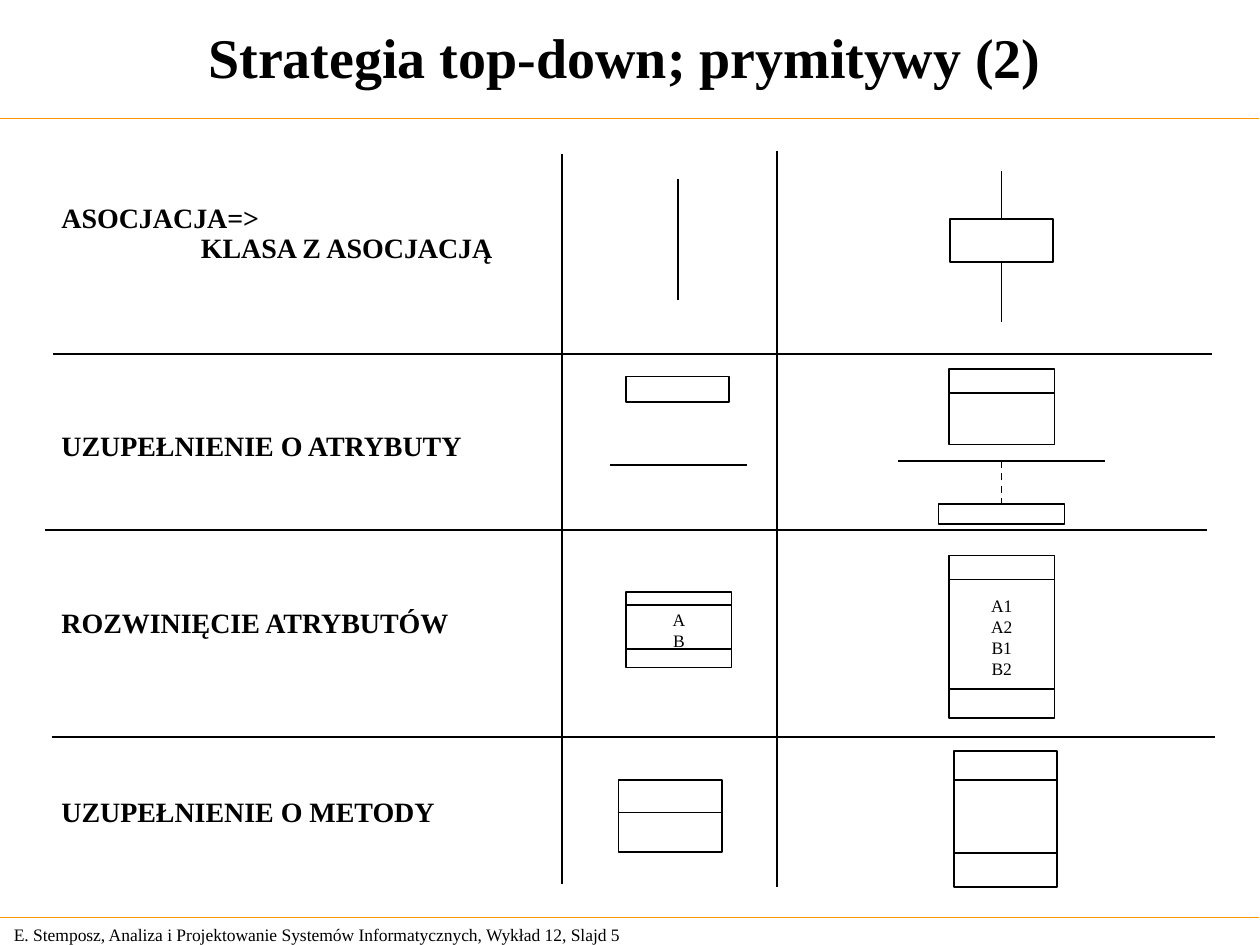
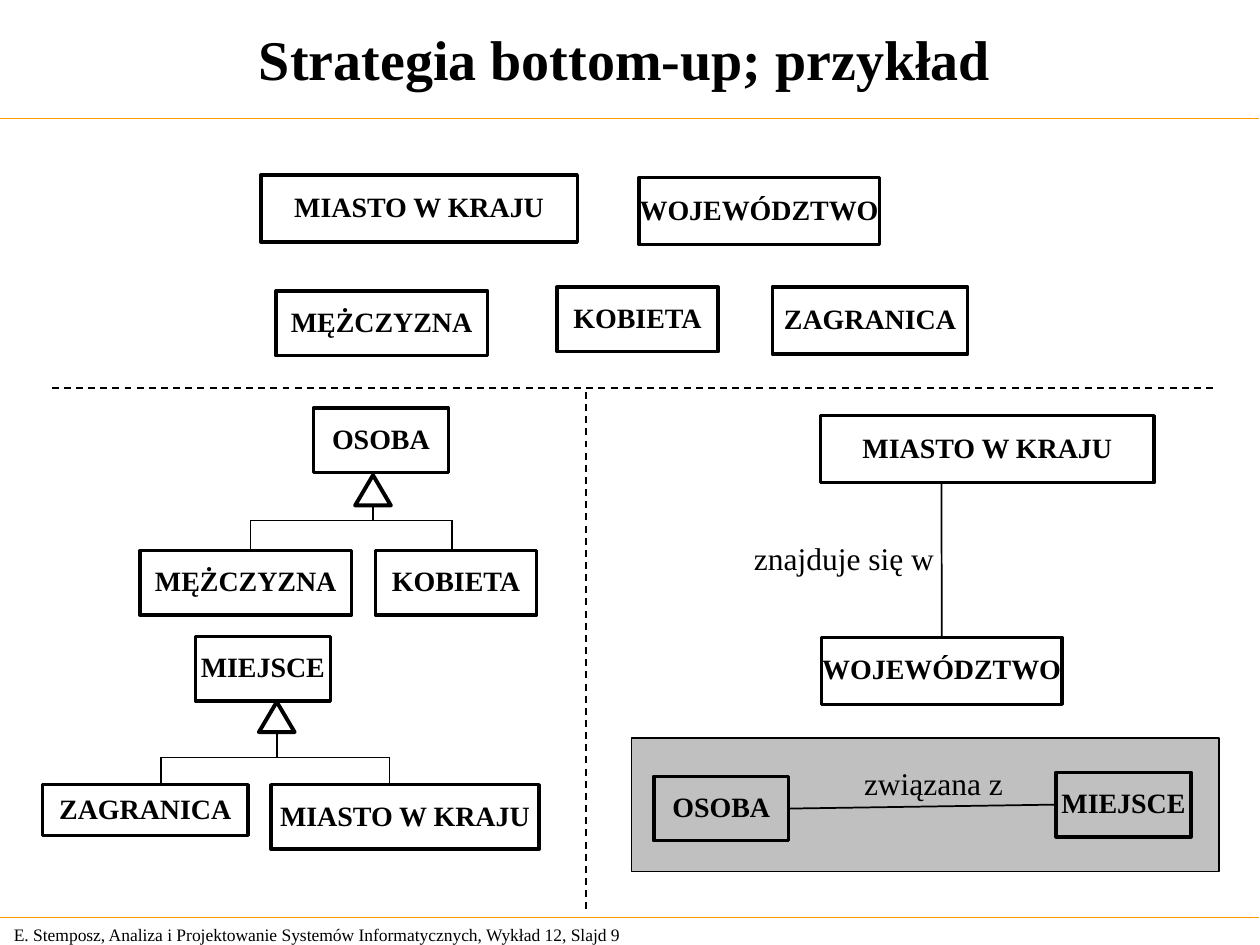
from lxml.etree import SubElement
from pptx import Presentation
from pptx.dml.color import RGBColor
from pptx.enum.dml import MSO_LINE
from pptx.enum.shapes import MSO_CONNECTOR, MSO_SHAPE
from pptx.enum.text import MSO_ANCHOR, PP_ALIGN
from pptx.oxml.ns import qn
from pptx.util import Cm, Pt

FONT = "Times New Roman"
BLACK, WHITE, ORANGE, GREY = "000000", "FFFFFF", "FF9900", "C0C0C0"
ENTITY = dict(line=BLACK, line_width=2, size=16, bold=True, spacing=0.9)
RELATION = dict(size=18, spacing=0.9)


def add_block(slide, text, left, top, width, height, kind=MSO_SHAPE.RECTANGLE, fill=None, line=None,
              line_width=1, size=10, bold=False, align=PP_ALIGN.CENTER, spacing=1.0):
    shape = slide.shapes.add_shape(kind, Cm(left), Cm(top), Cm(width), Cm(height))
    shape.shadow.inherit = False
    if fill:
        shape.fill.solid()
        shape.fill.fore_color.rgb = RGBColor.from_string(fill)
    else:
        shape.fill.background()
    if line:
        shape.line.color.rgb = RGBColor.from_string(line)
        shape.line.width = Pt(line_width)
    else:
        shape.line.fill.background()
    frame = shape.text_frame
    frame.text = text
    frame.word_wrap = align == PP_ALIGN.LEFT
    frame.vertical_anchor = MSO_ANCHOR.MIDDLE
    for paragraph in frame.paragraphs:
        paragraph.alignment = align
        paragraph.line_spacing = spacing
        paragraph.font.name = FONT
        paragraph.font.size = Pt(size)
        paragraph.font.bold = bold
        paragraph.font.color.rgb = RGBColor.from_string(BLACK)
    return shape


def add_line(slide, start_x, start_y, end_x, end_y, color=BLACK, width=1, dashed=False):
    connector = slide.shapes.add_connector(
        MSO_CONNECTOR.STRAIGHT, Cm(start_x), Cm(start_y), Cm(end_x), Cm(end_y))
    connector.line.color.rgb = RGBColor.from_string(color)
    connector.line.width = Pt(width)
    if dashed:
        connector.line.dash_style = MSO_LINE.DASH
    SubElement(connector._element.spPr, qn("a:effectLst"))
    return connector


presentation = Presentation()
presentation.slide_width = Cm(25.4)
presentation.slide_height = Cm(19.05)

slides = []
for title, title_top, number in [
    ("Strategia top-down; prymitywy (2)", 0.05, 5),
    ("Strategia bottom-up; przykład", 0.1, 9),
]:
    slide = presentation.slides.add_slide(presentation.slide_layouts[6])
    footer = f"E. Stemposz, Analiza i Projektowanie Systemów Informatycznych, Wykład 12, Slajd {number}"
    add_block(slide, footer, 0.03, 18.49, 13.31, 0.69, align=PP_ALIGN.LEFT)
    for rule_y in (2.39, 18.49):
        add_line(slide, 0, rule_y, 25.38, rule_y, color=ORANGE, width=0.75)
    add_block(slide, title, 0, title_top, 25.2, 2.16, size=32, bold=True)
    slides.append(slide)

primitives, example = slides

for column_x, top, bottom in [(11.33, 3.1, 17.83), (15.67, 3.05, 17.88)]:
    add_line(primitives, column_x, top, column_x, bottom)
for row_y, left, right in [(7.14, 1.07, 24.43), (10.69, 0.91, 24.33), (14.86, 1.04, 24.49)]:
    add_line(primitives, left, row_y, right, row_y)

for label, top, height in [
    ("ASOCJACJA=>\nKLASA Z ASOCJACJĄ", 4.29, 0.89),
    ("UZUPEŁNIENIE O ATRYBUTY", 8.66, 0.71),
    ("ROZWINIĘCIE ATRYBUTÓW", 12.22, 0.74),
    ("UZUPEŁNIENIE O METODY", 16.03, 0.74),
]:
    label_box = add_block(primitives, label, 0.99, top, 9.58, height,
                          size=16, bold=True, align=PP_ALIGN.LEFT, spacing=0.9)
    for paragraph in label_box.text_frame.paragraphs[1:]:
        paragraph._p.get_or_add_pPr().set("marL", str(Cm(2.81)))

for association in [
    (13.67, 3.61, 13.67, 6.05),
    (20.19, 3.45, 20.19, 6.5),
    (12.29, 9.37, 15.06, 9.37),
    (18.11, 9.3, 22.28, 9.3),
]:
    add_line(primitives, *association)

for text, left, top, width, height, dividers in [
    ("", 19.15, 4.42, 2.08, 0.86, []),
    ("", 12.62, 7.59, 2.08, 0.51, []),
    ("", 19.13, 7.44, 2.13, 1.52, [7.92]),
    ("A\nB", 12.62, 11.94, 2.13, 1.52, [12.19, 13.08]),
    ("A1\nA2\nB1\nB2", 19.13, 11.2, 2.13, 3.28, [11.68, 13.89]),
    ("", 12.47, 15.72, 2.08, 1.45, [16.38]),
    ("", 19.23, 15.14, 2.08, 2.74, [15.72, 17.2]),
]:
    add_block(primitives, text, left, top, width, height, fill=WHITE, line=BLACK)
    for divider_y in dividers:
        add_line(primitives, left, divider_y, left + width, divider_y)

association_class = add_block(primitives, "", 18.92, 10.16, 2.54, 0.41, fill=WHITE, line=BLACK)
class_link = add_line(primitives, 20.19, 9.3, 20.19, 10.16, dashed=True)
class_link.end_connect(association_class, 0)

add_line(example, 1.04, 7.82, 24.51, 7.82, dashed=True)
add_line(example, 11.81, 7.9, 11.81, 18.34, dashed=True)
add_block(example, "", 12.73, 14.88, 11.84, 2.69, fill=GREY, line=BLACK)

for parent_x, triangle_top, bar_y, first_x, last_x, child_top in [
    (7.52, 9.58, 10.49, 5.05, 9.12, 11.1),
    (5.58, 14.15, 15.27, 3.25, 7.85, 15.82),
]:
    add_line(example, parent_x, triangle_top, parent_x, bar_y)
    add_line(example, first_x, bar_y, last_x, bar_y)
    for child_x in (first_x, last_x):
        add_line(example, child_x, bar_y, child_x, child_top)
    add_block(example, "", parent_x - 0.36, triangle_top, 0.72, 0.61,
              kind=MSO_SHAPE.ISOSCELES_TRIANGLE, fill=WHITE, line=BLACK, line_width=2.25)

for name, left, top, width, height in [
    ("MIASTO W KRAJU", 5.26, 3.53, 6.38, 1.35),
    ("WOJEWÓDZTWO", 12.88, 3.58, 4.85, 1.35),
    ("MĘŻCZYZNA", 5.56, 5.87, 4.27, 1.3),
    ("KOBIETA", 11.23, 5.79, 3.25, 1.3),
    ("ZAGRANICA", 15.57, 5.79, 3.94, 1.35),
    ("OSOBA", 6.32, 8.23, 2.72, 1.3),
    ("MĘŻCZYZNA", 2.82, 11.1, 4.27, 1.3),
    ("KOBIETA", 7.57, 11.1, 3.25, 1.3),
    ("MIEJSCE", 3.94, 12.83, 2.72, 1.3),
    ("ZAGRANICA", 0.86, 15.82, 4.14, 1.02),
    ("MIASTO W KRAJU", 5.46, 15.82, 5.41, 1.3),
    ("MIASTO W KRAJU", 16.54, 8.38, 6.73, 1.35),
]:
    add_block(example, name, left, top, width, height, **ENTITY)

province = add_block(example, "WOJEWÓDZTWO", 16.56, 12.85, 4.85, 1.35, **ENTITY)
person = add_block(example, "OSOBA", 13.18, 15.65, 2.72, 1.3, **ENTITY)
place = add_block(example, "MIEJSCE", 21.29, 15.57, 2.72, 1.3, **ENTITY)

location_link = add_line(example, 18.98, 9.73, 18.98, 12.85)
location_link.end_connect(province, 0)
person_link = add_line(example, 15.9, 16.3, 21.29, 16.22)
person_link.begin_connect(person, 3)
person_link.end_connect(place, 1)

add_block(example, "znajduje się w", 15.29, 10.72, 3.45, 1.14, fill=WHITE, **RELATION)
add_block(example, "związana z", 17.22, 15.32, 3.2, 1.02, **RELATION)

presentation.save("out.pptx")
